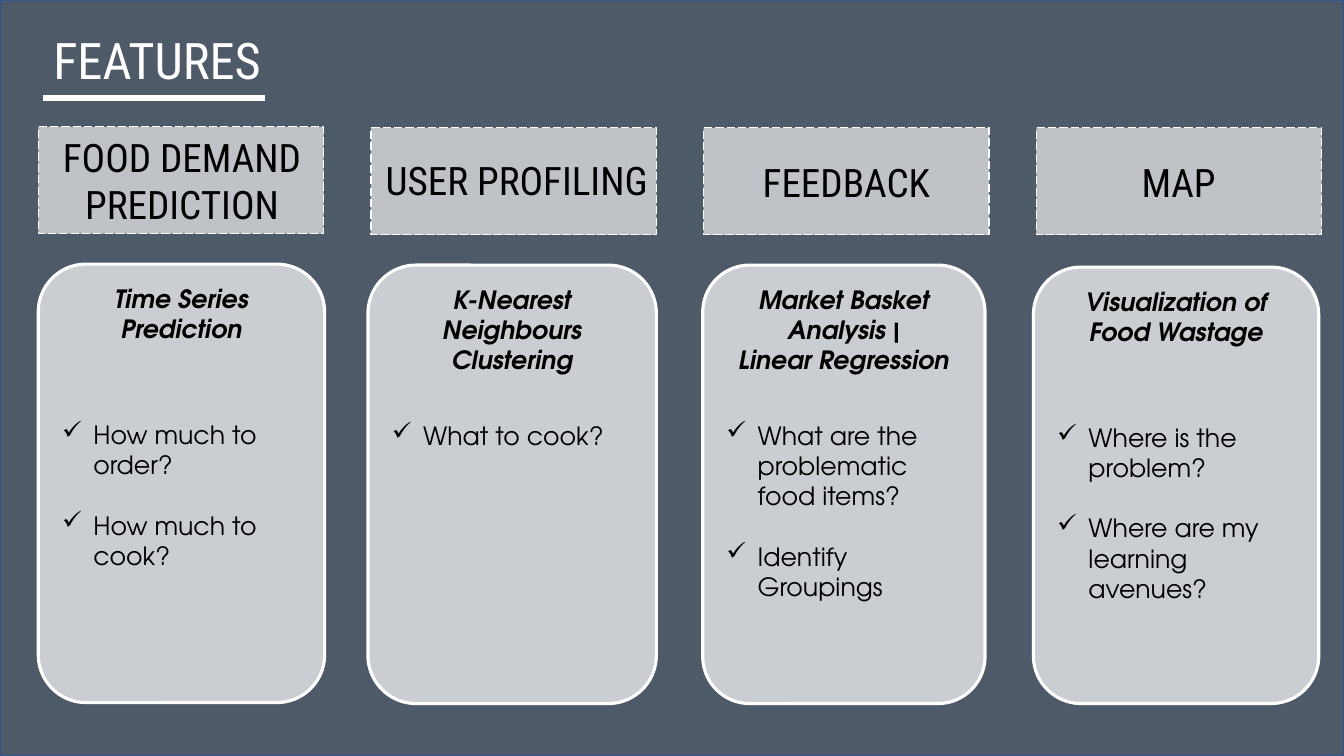
from dataclasses import dataclass

import pptx
import pptx.dml.color
import pptx.enum.dml
import pptx.enum.shapes
import pptx.enum.text
import pptx.oxml.ns
import pptx.util
from lxml import etree
from pptx.util import Inches

SHAPES = pptx.enum.shapes.MSO_SHAPE
ALIGN = pptx.enum.text.PP_ALIGN
ANCHOR = pptx.enum.text.MSO_ANCHOR


@dataclass(frozen=True)
class Theme:
    backdrop: str = "333F50"
    backdrop_line: str = "325491"
    light: str = "FFFFFF"
    ink: str = "000000"
    display_font: str = "Roboto Condensed"
    body_font: str = "TeX Gyre Adventor"
    title_size: int = 36
    label_size: int = 28
    body_size: int = 18
    body_line: float = 21.6


@dataclass(frozen=True)
class Feature:
    """One column; label and card boxes are left, top, width, height in inches."""
    label: str
    label_box: tuple
    card_box: tuple
    methods: list
    method_lines: int
    questions: list


THEME = Theme()
HEADER_LEFT, HEADER_PITCH = 0.38, 3.3
FEATURES = [
    Feature("FOOD DEMAND PREDICTION", (0.43, 1.27, 2.75, 1.04), (0.38, 2.62, 2.84, 4.35),
            ["Time Series Prediction"], 2,
            ["How much to order?", "How much to cook?"]),
    Feature("USER PROFILING", (3.71, 1.5, 2.83, 0.57), (3.65, 2.63, 2.86, 4.35),
            ["K-Nearest Neighbours Clustering"], 3,
            ["What to cook?"]),
    Feature("FEEDBACK", (6.98, 1.52, 2.83, 0.57), (6.97, 2.63, 2.8, 4.35),
            ["Market Basket Analysis |", "Linear Regression"], 3,
            ["What are the problematic food items?", "Identify Groupings"]),
    Feature("MAP", (10.3, 1.52, 2.78, 0.57), (10.25, 2.65, 2.83, 4.33),
            ["Visualization of Food Wastage"], 2,
            ["Where is the problem?", "Where are my learning avenues?"]),
]


def rgb(color):
    return pptx.dml.color.RGBColor.from_string(color)


def inches(box):
    return [Inches(length) for length in box]


def add_panel(slide, kind, box, color, opacity, line_color, line_width, dash=None):
    """Add a see-through shape; opacity is a percentage."""
    shape = slide.shapes.add_shape(kind, *inches(box))
    shape.shadow.inherit = False
    shape.fill.solid()
    shape.fill.fore_color.rgb = rgb(color)
    color_element = shape.fill._xPr.find(".//" + pptx.oxml.ns.qn("a:srgbClr"))
    etree.SubElement(color_element, pptx.oxml.ns.qn("a:alpha"), val=str(opacity * 1000))
    shape.line.color.rgb = rgb(line_color)
    shape.line.width = pptx.util.Pt(line_width)
    if dash:
        shape.line.dash_style = dash
    return shape


def add_text(frame, text, *, font, size, color, align=ALIGN.LEFT,
             emphasis=False, bullet=None, space_before=0):
    """Write a paragraph into the frame, using its first one while it is empty."""
    paragraph = frame.paragraphs[-1]
    if paragraph.runs:
        paragraph = frame.add_paragraph()
    paragraph.alignment = align
    if space_before:
        paragraph.space_before = pptx.util.Pt(space_before)
    if bullet:
        properties = paragraph._p.get_or_add_pPr()
        properties.set("marL", str(Inches(0.31)))
        properties.set("indent", str(-Inches(0.31)))
        etree.SubElement(properties, pptx.oxml.ns.qn("a:buChar"), char=bullet)
    run = paragraph.add_run()
    run.text = text
    run.font.name = font
    run.font.size = pptx.util.Pt(size)
    run.font.color.rgb = rgb(color)
    run.font.bold = run.font.italic = emphasis


def add_label(slide, text, box, **text_format):
    frame = slide.shapes.add_textbox(*inches(box)).text_frame
    frame.word_wrap = True
    frame.auto_size = pptx.enum.text.MSO_AUTO_SIZE.SHAPE_TO_FIT_TEXT
    add_text(frame, text, font=THEME.display_font, **text_format)


def add_title(slide):
    add_label(slide, "FEATURES", (0.43, 0.24, 11.48, 0.71),
              size=THEME.title_size, color=THEME.light)
    underline = slide.shapes.add_connector(
        pptx.enum.shapes.MSO_CONNECTOR.STRAIGHT, *inches((0.43, 0.97, 2.63, 0.97)))
    underline.line.color.rgb = rgb(THEME.light)
    underline.line.width = pptx.util.Pt(4.5)
    etree.SubElement(underline._element.spPr, pptx.oxml.ns.qn("a:effectLst"))


def add_header(slide, column, feature):
    box = (HEADER_LEFT + column * HEADER_PITCH, 1.26 if column == 0 else 1.27, 2.83, 1.06)
    add_panel(slide, SHAPES.RECTANGLE, box, THEME.light, 64, THEME.light, 0.75,
              pptx.enum.dml.MSO_LINE.LONG_DASH)
    add_label(slide, feature.label, feature.label_box, size=THEME.label_size,
              color=THEME.ink, align=ALIGN.CENTER)


def add_card(slide, feature):
    """Add a card whose questions start level, however many lines the methods take."""
    card = add_panel(slide, SHAPES.ROUNDED_RECTANGLE, feature.card_box,
                     THEME.light, 70, THEME.light, 2.25)
    frame = card.text_frame
    frame.word_wrap = True
    frame.vertical_anchor = ANCHOR.TOP
    body = dict(font=THEME.body_font, size=THEME.body_size, color=THEME.ink)
    for method in feature.methods:
        add_text(frame, method, align=ALIGN.CENTER, emphasis=True, **body)
    gap = THEME.body_line * (4.5 - feature.method_lines)
    for question in feature.questions:
        add_text(frame, question, bullet="✓", space_before=gap, **body)
        gap = THEME.body_line


def main():
    presentation = pptx.Presentation()
    presentation.slide_width = Inches(13.33)
    presentation.slide_height = Inches(7.5)
    slide = presentation.slides.add_slide(presentation.slide_layouts[6])
    add_panel(slide, SHAPES.RECTANGLE, (0, 0, 13.33, 7.5),
              THEME.backdrop, 86, THEME.backdrop_line, 1)
    add_title(slide)
    for column, feature in enumerate(FEATURES):
        add_header(slide, column, feature)
        add_card(slide, feature)
    presentation.save("out.pptx")


if __name__ == "__main__":
    main()
